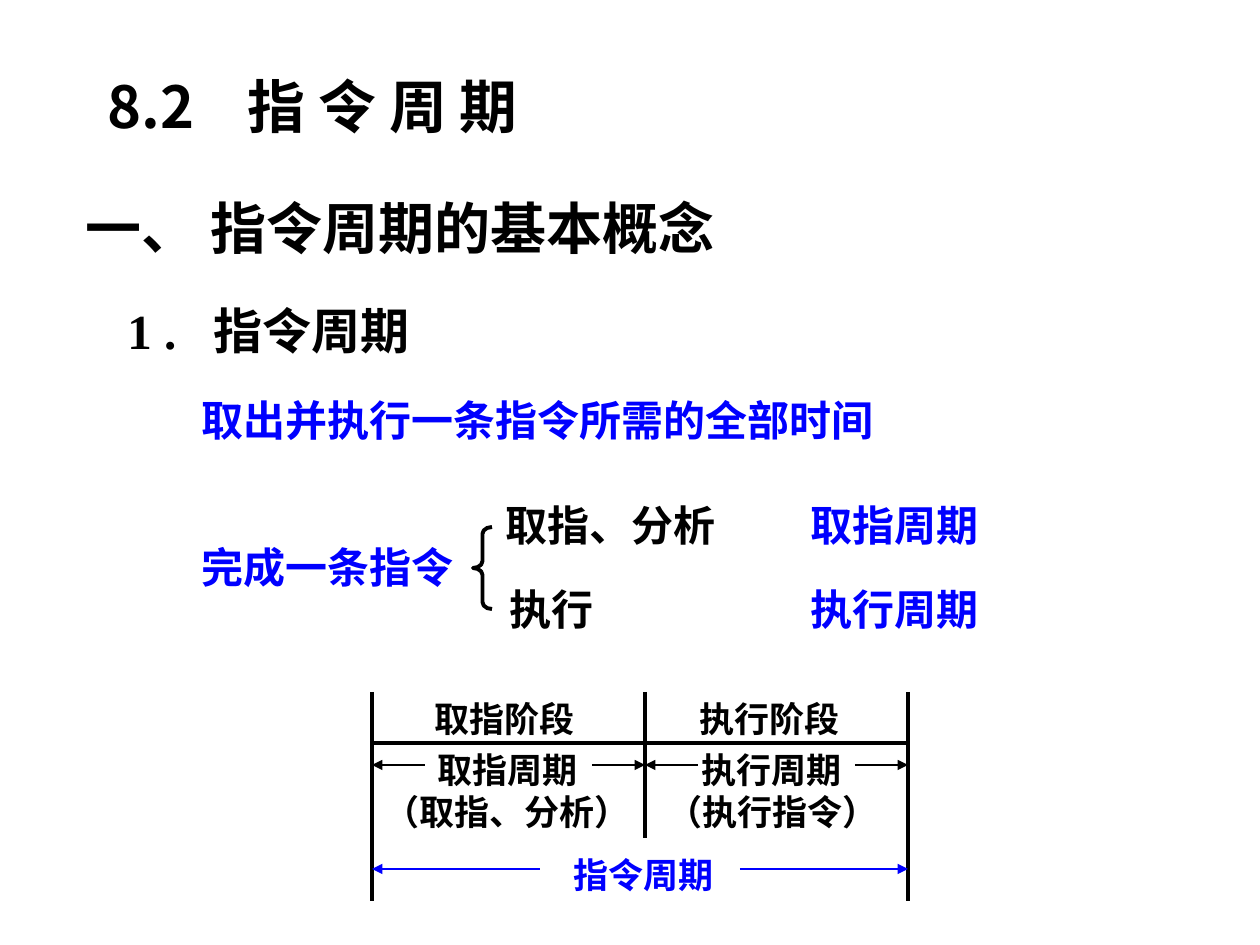
from pptx import Presentation
from pptx.dml.color import RGBColor as RGB
from pptx.enum.shapes import MSO_CONNECTOR as CONN, MSO_SHAPE as SHAPE
from pptx.enum.text import MSO_ANCHOR as ANCHOR
from pptx.oxml.ns import qn
from pptx.util import Pt
from lxml.etree import SubElement as Sub

SCALE = 914400 / 126
INK = {"black": "000000", "blue": "0000FF"}
SANS, SERIF = "Noto Sans CJK SC", "Times New Roman"


def px(n):
    return round(n * SCALE)


def label(text, x, y, w, h, size, ink="black", face=SERIF, tab=0):
    box = slide.shapes.add_textbox(px(x), px(y), px(w), px(h))
    frame = box.text_frame
    frame.word_wrap = True
    para = frame.paragraphs[0]
    if tab:
        stops = Sub(para._p.get_or_add_pPr(), qn("a:tabLst"))
        Sub(stops, qn("a:tab"), pos=str(px(tab)), algn="l")
    run = para.add_run()
    run.text = text
    for key, val in {"name": face, "size": Pt(size), "bold": True}.items():
        setattr(run.font, key, val)
    run.font.color.rgb = RGB.from_string(INK[ink])
    Sub(run._r.get_or_add_rPr(), qn("a:ea"), typeface=SANS)
    return frame


def line(x1, y1, x2, y2, width=2.25, ink="black", arrow=False):
    conn = slide.shapes.add_connector(CONN.STRAIGHT, px(x1), px(y1), px(x2), px(y2))
    conn.line.width = Pt(width)
    conn.line.color.rgb = RGB.from_string(INK[ink])
    if arrow:
        Sub(conn.line._get_or_add_ln(), qn("a:tailEnd"), type="triangle")
    Sub(conn._element.spPr, qn("a:effectLst"))


deck = Presentation()
deck.slide_width, deck.slide_height = px(1260), px(945)
slide = deck.slides.add_slide(deck.slide_layouts[6])

# Title and headings
title = label("8.2\t指 令 周 期", 95, 31, 1071, 158, 33, face=SANS, tab=140)
title.vertical_anchor = ANCHOR.MIDDLE
title.paragraphs[0].line_spacing = 0.9
label("一、 指令周期的基本概念", 73, 187, 788, 81, 32)
label("1 .\t指令周期", 115, 294, 788, 72, 28, tab=86)

# Definition and the two steps
for text, x, y, w, ink in [
    ("取出并执行一条指令所需的全部时间", 189, 388, 788, "blue"),
    ("完成一条指令", 189, 535, 378, "blue"),
    ("取指、分析", 493, 493, 273, "black"),
    ("执行", 497, 577, 217, "black"),
    ("取指周期", 798, 493, 231, "blue"),
    ("执行周期", 798, 577, 252, "blue"),
]:
    label(text, x, y, w, 63, 24, ink)

# Brace
brace = slide.shapes.add_shape(SHAPE.LEFT_BRACE, px(473), px(527), px(19), px(82))
brace.adjustments[0] = 0.36
brace.shadow.inherit = False
brace.fill.background()
brace.line.width = Pt(2.25)
brace.line.color.rgb = RGB.from_string(INK["black"])

# Timeline labels
for text, x, y, w, ink in [
    ("取指阶段", 422, 691, 168, "black"),
    ("执行阶段", 687, 691, 168, "black"),
    ("取指周期", 425, 742, 168, "black"),
    ("执行周期", 689, 742, 168, "black"),
    ("（取指、分析）", 372, 784, 274, "black"),
    ("（执行指令）", 655, 784, 239, "black"),
    ("指令周期", 561, 847, 168, "blue"),
]:
    label(text, x, y, w, 55, 20, ink)

# Timeline axis and bounds
left, mid, right = 372, 645, 908
top, axis = 692, 743
line(left, axis, right, axis)
for x, end in [(left, 901), (mid, 838), (right, 901)]:
    line(x, top, x, end)

# Span arrows, pointing outwards to the bounds
for a, b, gap, y, ink in [
    (left, mid, 53, 765, "black"),
    (mid, right, 53, 765, "black"),
    (left, right, 168, 869, "blue"),
]:
    line(a + gap, y, a, y, 0.75, ink, True)
    line(b - gap, y, b, y, 0.75, ink, True)

deck.save("out.pptx")
